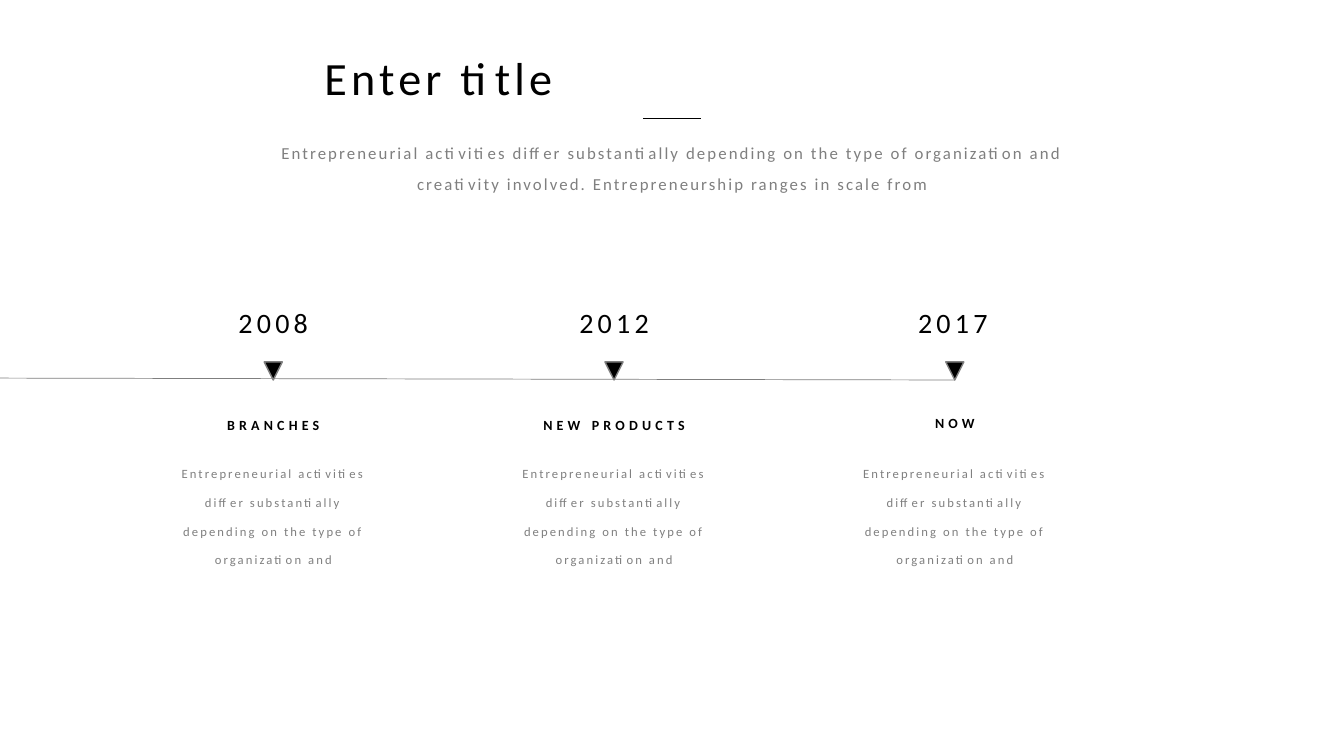
import dataclasses
import pptx
import pptx.dml.color
import pptx.enum.shapes
import pptx.enum.text
import pptx.oxml.ns
import pptx.slide
import pptx.util
import lxml.etree

Inches = pptx.util.Inches
Pt = pptx.util.Pt
ALIGN = pptx.enum.text.PP_ALIGN
COLORS = {"ink": "000000", "gray": "7F7F7F"}
FONT = "Calibri"
FIRST, STEP = 2.71, 3.38
MARK = 0.18
BLURB = (
    "Entrepreneurial activities differ substantially "
    "depending on the type of organization and"
)
INTRO = BLURB + " creativity involved. Entrepreneurship ranges in scale from"


@dataclasses.dataclass
class Style:
    size: float
    color: str = "ink"
    track: float = 3
    bold: bool = False
    wrap: bool = False
    lead: float | pptx.util.Length | None = None
    align: ALIGN = ALIGN.CENTER


@dataclasses.dataclass
class Event:
    year: str
    head: str
    width: float
    left: float
    top: float = 4.08


TITLE = Style(33, wrap=True, align=ALIGN.LEFT)
LEDE = Style(12, "gray", 1.5, wrap=True, lead=1.5)
YEAR = Style(20)
HEAD = Style(10, bold=True)
BODY = Style(9, "gray", 1.5, wrap=True, lead=Pt(20.5))
EVENTS = [
    Event("2008", "BRANCHES", 1.17, 2.24),
    Event("2012", "NEW PRODUCTS", 1.67, 5.62),
    Event("2017", "NOW", 0.64, 8.98, 4.06),
]


def color(name: str) -> pptx.dml.color.RGBColor:
    return pptx.dml.color.RGBColor.from_string(COLORS[name])


def add_text(slide: pptx.slide.Slide, text: str, left: float, top: float,
             width: float, height: float, style: Style) -> None:
    box = slide.shapes.add_textbox(
        Inches(left), Inches(top), Inches(width), Inches(height))
    frame = box.text_frame
    frame.word_wrap = style.wrap
    para = frame.paragraphs[0]
    para.text = text
    para.alignment = style.align
    if style.lead is not None:
        para.line_spacing = style.lead
    font = para.font
    font.name = FONT
    font.size = Pt(style.size)
    font.bold = style.bold
    font.color.rgb = color(style.color)
    props = para._p.pPr.find(pptx.oxml.ns.qn("a:defRPr"))
    track = str(int(style.track * 100))
    props.set("spc", track)
    for run in para.runs:
        run._r.get_or_add_rPr().set("spc", track)


def add_line(slide: pptx.slide.Slide, start: tuple[float, float],
             end: tuple[float, float], name: str) -> None:
    line = slide.shapes.add_connector(
        pptx.enum.shapes.MSO_CONNECTOR.STRAIGHT,
        Inches(start[0]), Inches(start[1]), Inches(end[0]), Inches(end[1]))
    line.line.color.rgb = color(name)
    line.line.width = Pt(0.5)
    lxml.etree.SubElement(
        line._element.spPr, pptx.oxml.ns.qn("a:effectLst"))


def add_mark(slide: pptx.slide.Slide, mid: float) -> None:
    mark = slide.shapes.add_shape(
        pptx.enum.shapes.MSO_SHAPE.ISOSCELES_TRIANGLE,
        Inches(mid - MARK / 2), Inches(3.59), Inches(MARK), Inches(MARK))
    mark.rotation = 180
    mark.shadow.inherit = False
    mark.fill.solid()
    mark.fill.fore_color.rgb = color("ink")
    mark.line.color.rgb = color("gray")
    mark.line.width = Pt(1)


def add_event(slide: pptx.slide.Slide, event: Event, mid: float) -> None:
    add_mark(slide, mid)
    add_text(slide, event.year, event.left, 2.98, 0.94, 0.44, YEAR)
    add_text(slide, event.head, mid - event.width / 2, event.top,
             event.width, 0.27, HEAD)
    add_text(slide, BLURB, mid - 2.17 / 2, 4.44, 2.17, 1.24, BODY)


def main() -> None:
    deck = pptx.Presentation()
    deck.slide_width = Inches(13.33)
    deck.slide_height = Inches(7.5)
    slide = deck.slides.add_slide(deck.slide_layouts[6])
    add_line(slide, (-0.45, 3.75), (9.47, 3.77), "gray")
    for index, event in enumerate(EVENTS):
        add_event(slide, event, FIRST + index * STEP)
    add_text(slide, INTRO, 2.54, 1.27, 8.26, 0.67, LEDE)
    add_text(slide, "Enter title", 3.12, 0.44, 7.1, 1.46, TITLE)
    add_line(slide, (6.38, 1.17), (6.95, 1.17), "ink")
    deck.save("out.pptx")


if __name__ == "__main__":
    main()
